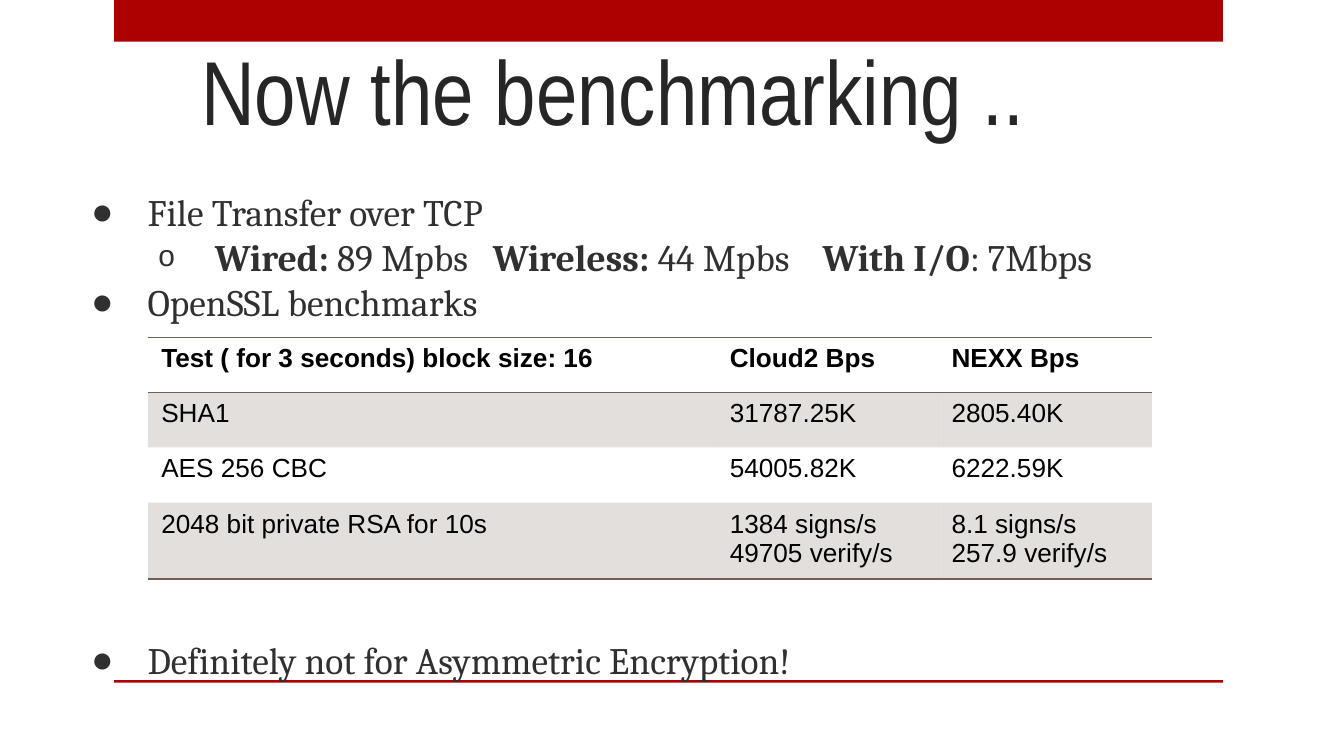
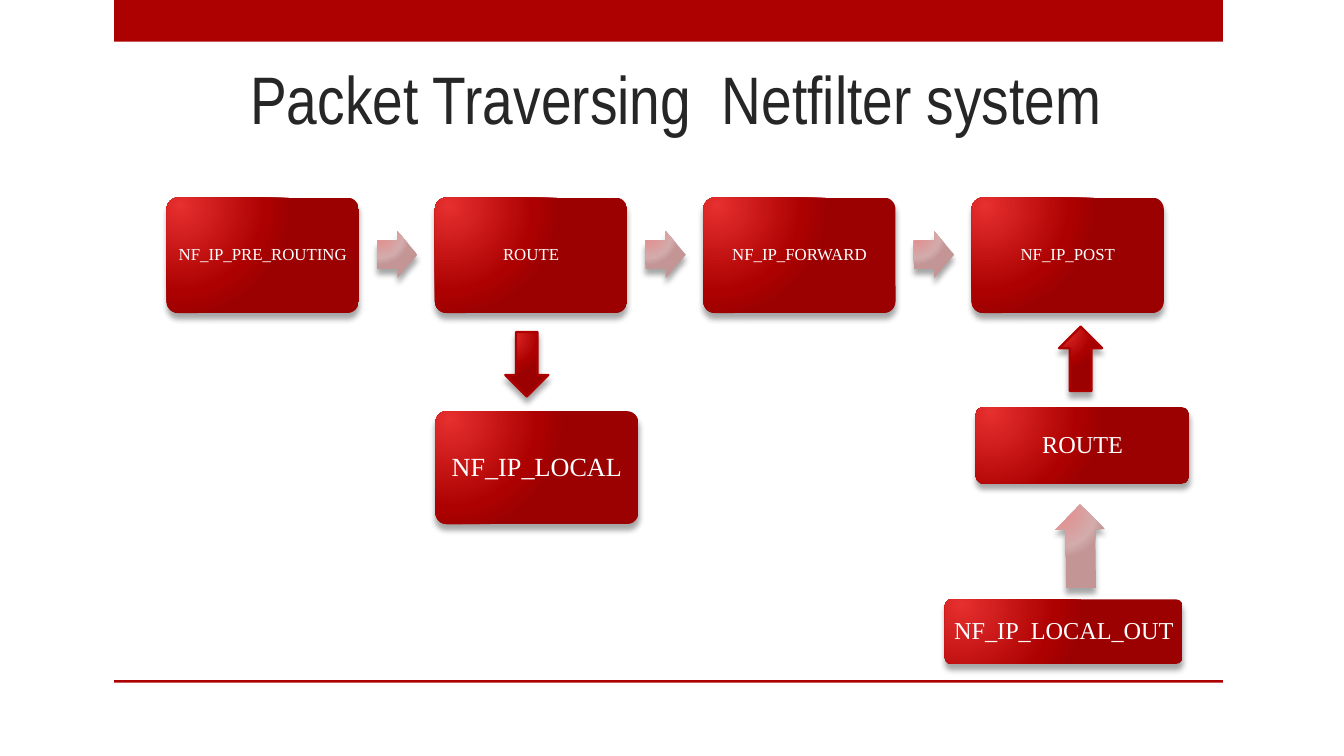
from dataclasses import dataclass

from lxml.etree import SubElement
from pptx import Presentation
from pptx.dml.color import RGBColor
from pptx.enum.shapes import MSO_SHAPE
from pptx.enum.text import MSO_ANCHOR, PP_ALIGN
from pptx.oxml.ns import qn
from pptx.util import Inches, Pt


@dataclass(frozen=True)
class Theme:
    """Colours, fonts and type sizes of the deck."""

    accent: str = "AD0101"
    title: str = "262626"
    body: str = "303030"
    table: str = "726056"
    black: str = "000000"
    white: str = "FFFFFF"
    red_stops: tuple = ((0, "E62F2F"), (76, "AD0101"), (100, "9C0101"))
    pale_stops: tuple = ((0, "E68989"), (76, "D3ABAB"), (100, "C39595"))
    title_font: str = "Arial Narrow"
    body_font: str = "Cambria"
    table_font: str = "Arial"
    label_font: str = "Times New Roman"
    title_size: float = 48.6
    small_title_size: float = 36
    body_size: float = 20
    table_size: float = 14
    chain_size: float = 9
    branch_size: float = 13
    local_size: float = 14


THEME = Theme()
NO_STYLE = "{2D5ABB26-0587-4C30-8999-92F81FD0307C}"
BULLETS = (
    {"char": "●", "left": 0.5, "scale": 100},
    {"char": "o", "left": 1, "scale": 80},
)


def apply(obj, formats):
    """Set each attribute named in formats on obj."""
    for name, value in formats.items():
        setattr(obj, name, value)


def child(parent, tag, **attrs):
    """Append a DrawingML element and return it."""
    return SubElement(parent, qn(f"a:{tag}"), {k: str(v) for k, v in attrs.items()})


def add_color(parent, color, alpha=100):
    """Append a colour with a percentage of opacity."""
    clr = child(parent, "srgbClr", val=color)
    if alpha < 100:
        child(clr, "alpha", val=alpha * 1000)


def box(left, top, width, height):
    """Turn inch values into lengths."""
    return [Inches(v) for v in (left, top, width, height)]


def margins(value):
    """Return equal insets for a text frame."""
    return {f"margin_{side}": Inches(value) for side in ("left", "top", "right", "bottom")}


def add_run(p, text, font, size, color, bold=False):
    """Add a formatted run to a paragraph."""
    r = p.add_run()
    r.text = text
    apply(r.font, {"name": font, "size": Pt(size), "bold": bold})
    r.font.color.rgb = RGBColor.from_string(color)
    return r


def add_band(s, top, height):
    """Draw an accent band across the content width."""
    sp = s.shapes.add_shape(MSO_SHAPE.RECTANGLE, *box(0.85, top, 8.25, height))
    sp.shadow.inherit = False
    sp.fill.solid()
    sp.fill.fore_color.rgb = RGBColor.from_string(THEME.accent)
    sp.line.fill.background()


def add_textbox(s, at, formats):
    """Add a wrapping text box and return its frame."""
    tf = s.shapes.add_textbox(*box(*at)).text_frame
    apply(tf, {"word_wrap": True, **margins(0.1), **formats})
    return tf


def new_slide(prs, title, left, top, size, right_inset=0.1):
    """Add a slide with its bands and title."""
    s = prs.slides.add_slide(prs.slide_layouts[6])
    add_band(s, 0, 0.31)
    add_band(s, 5.06, 0.02)
    formats = {"vertical_anchor": MSO_ANCHOR.BOTTOM, "margin_right": Inches(right_inset)}
    p = add_textbox(s, (left, top, 9, 0.94), formats).paragraphs[0]
    p.alignment = PP_ALIGN.CENTER
    add_run(p, title, THEME.title_font, size, THEME.title)
    return s


def add_bullet(p, level):
    """Give a paragraph the bullet and indent of its level."""
    bullet = BULLETS[level]
    p.level = level
    pPr = p._p.get_or_add_pPr()
    pPr.set("marL", str(Inches(bullet["left"])))
    pPr.set("indent", str(Inches(-0.42)))
    add_color(child(pPr, "buClr"), THEME.body)
    child(pPr, "buSzPct", val=bullet["scale"] * 1000)
    child(pPr, "buFont", typeface="Arial")
    child(pPr, "buChar", char=bullet["char"])


def add_bullets(s, at, items):
    """Add bullets given as level, space before and runs of text, bold and tracking."""
    tf = add_textbox(s, at, {})
    for i, (level, before, runs) in enumerate(items):
        p = tf.add_paragraph() if i else tf.paragraphs[0]
        add_bullet(p, level)
        p.space_before = Pt(before)
        for text, bold, tracking in runs:
            r = add_run(p, text, THEME.body_font, THEME.body_size, THEME.body, bold)
            if tracking:
                r._r.get_or_add_rPr().set("spc", str(int(tracking * 100)))


def style_cell(cell, edges, shaded):
    """Set the borders and the fill of a table cell."""
    cell.fill.background()
    tcPr = cell._tc.get_or_add_tcPr()
    tcPr.remove(tcPr.find(qn("a:noFill")))
    for edge in edges:
        ln = child(tcPr, edge, w=Pt(1))
        add_color(child(ln, "solidFill"), THEME.table)
    if shaded:
        add_color(child(tcPr, "solidFill"), THEME.table, 20)
    else:
        child(tcPr, "noFill")


def add_results(s, at, widths, heights, rows):
    """Add the ruled table with a bold header and shaded odd rows."""
    table = s.shapes.add_table(len(rows), len(widths), *box(*at)).table
    apply(table, {"first_row": False, "horz_banding": False})
    table._tbl.tblPr.find(qn("a:tableStyleId")).text = NO_STYLE
    for col, width in zip(table.columns, widths):
        col.width = Inches(width)
    for row, height in zip(table.rows, heights):
        row.height = Inches(height)
    edges = {0: ("lnT", "lnB"), len(rows) - 1: ("lnB",)}
    for i, row in enumerate(rows):
        for j, text in enumerate(row):
            cell = table.cell(i, j)
            style_cell(cell, edges.get(i, ()), i % 2 == 1)
            tf = cell.text_frame
            for k, line in enumerate(text.split("\n")):
                p = tf.add_paragraph() if k else tf.paragraphs[0]
                add_run(p, line, THEME.table_font, THEME.table_size, THEME.black, i == 0)


def add_glossy(s, kind, at, stops, adjustments=(), rotation=0, outlined=False):
    """Add a shape with a radial gradient and a soft shadow below."""
    sp = s.shapes.add_shape(kind, *box(*at))
    sp.rotation = rotation
    for i, value in enumerate(adjustments):
        sp.adjustments[i] = value
    sp.fill.background()
    spPr = sp._element.spPr
    grad = child(spPr, "gradFill", rotWithShape=1)
    gsLst = child(grad, "gsLst")
    for pos, color in stops:
        add_color(child(gsLst, "gs", pos=pos * 1000), color)
    circle = child(grad, "path", path="circle")
    child(circle, "fillToRect", l=15000, t=15000, r=100000, b=100000)
    spPr.replace(spPr.find(qn("a:noFill")), grad)
    if outlined:
        sp.line.color.rgb = RGBColor.from_string(THEME.accent)
        sp.line.width = Pt(1.25)
    else:
        sp.line.fill.background()
    sp.shadow.inherit = False
    shadow = child(spPr.find(qn("a:effectLst")), "outerShdw", blurRad=Pt(3), dist=Pt(3),
                   dir=90 * 60000, rotWithShape=0)
    add_color(shadow, THEME.black, 35)
    return sp


def add_hook(s, label, at, size):
    """Add a rounded box with a centred label."""
    sp = add_glossy(s, MSO_SHAPE.ROUNDED_RECTANGLE, at, THEME.red_stops, (0.1,))
    tf = sp.text_frame
    apply(tf, {"word_wrap": False, "vertical_anchor": MSO_ANCHOR.MIDDLE, **margins(0.05)})
    p = tf.paragraphs[0]
    apply(p, {"alignment": PP_ALIGN.CENTER, "line_spacing": 0.9})
    add_run(p, label, THEME.label_font, size, THEME.white)


def add_pale_arrow(s, at, rotation=0):
    """Add a pale block arrow between two hooks."""
    add_glossy(s, MSO_SHAPE.RIGHT_ARROW, at, THEME.pale_stops, (0.6, 0.5), rotation)


def add_red_arrow(s, at, rotation=0):
    """Add an outlined red block arrow pointing down unless rotated."""
    add_glossy(s, MSO_SHAPE.DOWN_ARROW, at, THEME.red_stops, (), rotation, True)


def build_benchmarks(prs):
    """Build the benchmark slide."""
    s = new_slide(prs, "Now the benchmarking ..", 0.5, 0.23, THEME.title_size, 0.98)
    speeds = [
        ("Wired: ", True, 0), ("89 Mpbs", False, 0), (" ", False, 8.8),
        ("Wireless:", True, 0), (" 44 Mpbs", False, 0), (" ", False, 13.2),
        ("With I/O", True, 0), (": 7Mbps", False, 0),
    ]
    add_bullets(s, (0.5, 1.31, 9, 4.07), [
        (0, 0, [("File Transfer over TCP", False, 0)]),
        (1, 0, speeds),
        (0, 0, [("OpenSSL benchmarks", False, 0)]),
        (0, 168, [("Definitely not for Asymmetric Encryption!", False, 0)]),
    ])
    add_results(s, (1.1, 2.51, 7.47, 1.76), (4.23, 1.65, 1.59), (0.41, 0.41, 0.41, 0.53), [
        ("Test ( for 3 seconds) block size: 16", "Cloud2 Bps", "NEXX Bps"),
        ("SHA1", "31787.25K", "2805.40K"),
        ("AES 256 CBC", "54005.82K", "6222.59K"),
        ("2048 bit private RSA for 10s", "1384 signs/s\n49705 verify/s",
         "8.1 signs/s\n257.9 verify/s"),
    ])


def build_netfilter(prs):
    """Build the packet flow slide."""
    s = new_slide(prs, "Packet Traversing  Netfilter system", 0.53, 0.19, THEME.small_title_size)
    chain = ("NF_IP_PRE_ROUTING", "ROUTE", "NF_IP_FORWARD", "NF_IP_POST")
    pitch = (7.23 - 1.24) / (len(chain) - 1)
    for i, label in enumerate(chain):
        left = 1.24 + pitch * i
        if i:
            add_pale_arrow(s, (left - 0.43, 1.72, 0.3, 0.35))
        add_hook(s, label, (left, 1.47, 1.43, 0.86), THEME.chain_size)
    add_hook(s, "NF_IP_LOCAL", (3.24, 3.06, 1.51, 0.84), THEME.local_size)
    add_hook(s, "ROUTE", (7.26, 3.03, 1.59, 0.57), THEME.branch_size)
    add_pale_arrow(s, (7.73, 3.88, 0.62, 0.37), 269.3)
    add_hook(s, "NF_IP_LOCAL_OUT", (7.03, 4.46, 1.77, 0.48), THEME.branch_size)
    add_red_arrow(s, (3.76, 2.47, 0.32, 0.48))
    add_red_arrow(s, (7.88, 2.43, 0.32, 0.48), 180)


def main():
    """Build and save the deck."""
    prs = Presentation()
    width = Inches(10)
    apply(prs, {"slide_width": width, "slide_height": width * 9 // 16})
    build_benchmarks(prs)
    build_netfilter(prs)
    prs.save("out.pptx")


if __name__ == "__main__":
    main()
